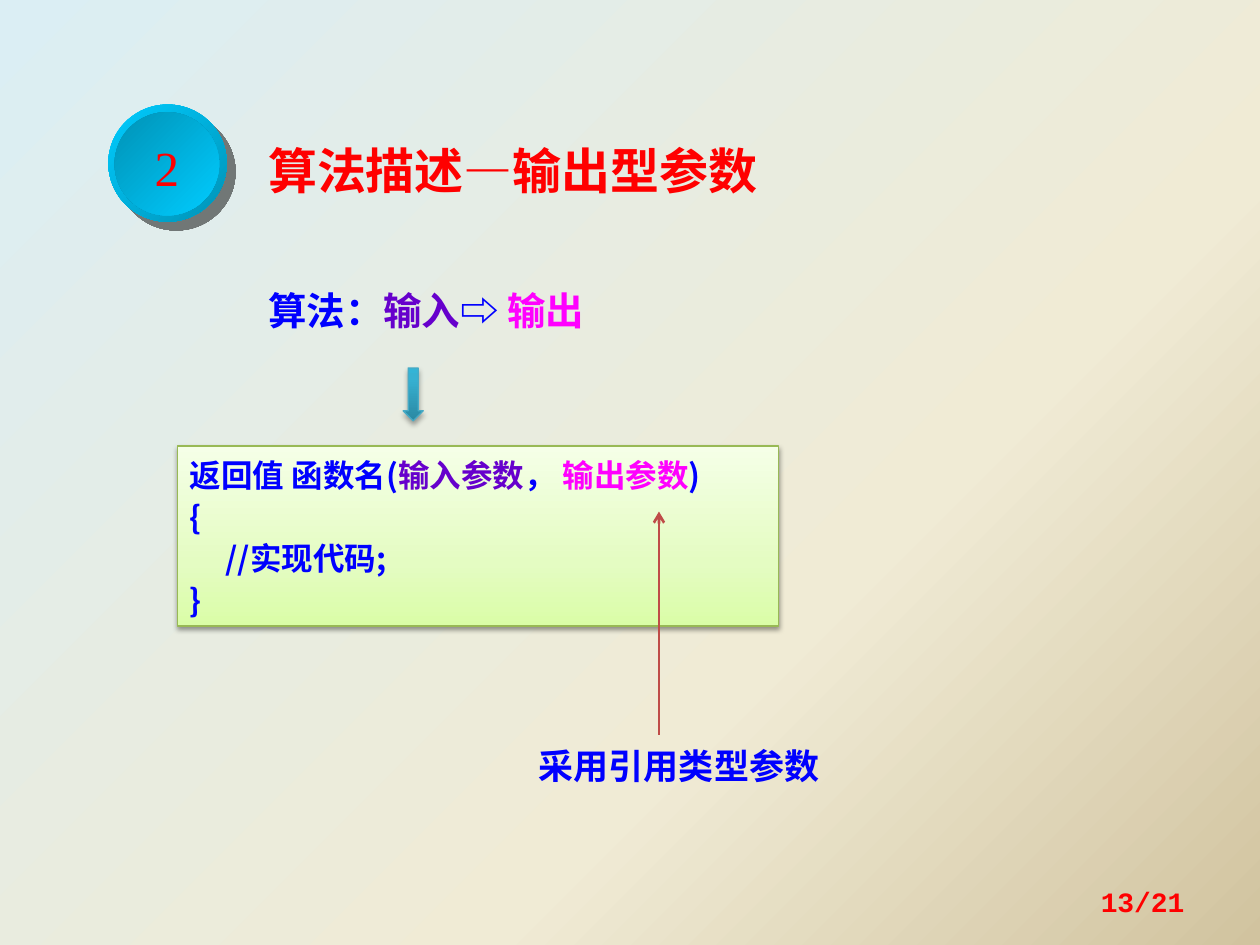
from dataclasses import dataclass

from lxml.etree import SubElement as Sub
from pptx import Presentation
from pptx.dml.color import RGBColor as RGB
from pptx.enum.shapes import MSO_CONNECTOR as CONN, MSO_SHAPE as SHAPE
from pptx.enum.text import MSO_ANCHOR as ANCHOR, MSO_AUTO_SIZE as AUTO, PP_ALIGN as AL
from pptx.oxml.ns import qn
from pptx.util import Inches, Pt


@dataclass(frozen=True)
class Theme:
    sans: str = "Noto Sans CJK SC"
    serif: str = "Times New Roman"
    mono: str = "Courier New"
    red: str = "FF0000"
    blue: str = "0000FF"
    purple: str = "6600CC"
    pink: str = "FF00FF"
    pointer: str = "BF4C48"
    arrow_line: str = "46AAC5"
    box_line: str = "98B955"
    title: int = 28
    body: int = 22
    note: int = 20
    code: int = 18
    page: int = 16
    spacing: float = 1.1
    backdrop: tuple = ((0, "DBEEF4"), (65, "F0EBD5"), (100, "D1C39F"))
    rim: tuple = ((0, "00CCFF"), (100, "0092B6"))
    disc: tuple = ((0, "0092B6"), (100, "00CCFF"))
    arrow: tuple = ((0, "2A88A2"), (80, "37B1D2"), (100, "34B4D6"))
    box: tuple = ((0, "DAFDA7"), (35, "E4FCC2"), (100, "F5FFE7"))


class Deck:
    def __init__(self, theme):
        self.t = theme
        self.prs = Presentation()
        self.prs.slide_width, self.prs.slide_height = Inches(10), Inches(7.5)
        self.s = self.prs.slides.add_slide(self.prs.slide_layouts[6])

    def color(self, parent, value, alpha=100):
        clr = Sub(parent, qn("a:srgbClr"), val=value)
        if alpha < 100:
            Sub(clr, qn("a:alpha"), val=str(alpha * 1000))

    def gradient(self, fill, owner, stops, angle):
        fill.gradient()
        grad = owner.element.xpath(".//a:gradFill")[0]
        for child in list(grad):
            grad.remove(child)
        gs_list = Sub(grad, qn("a:gsLst"))
        for pos, value in stops:
            self.color(Sub(gs_list, qn("a:gs"), pos=str(pos * 1000)), value)
        Sub(grad, qn("a:lin"), ang=str(angle * 60000), scaled="0")

    def background(self, stops, angle):
        self.gradient(self.s.background.fill, self.s, stops, angle)

    def shape(self, kind, at, stops, angle, line=None, shadow=None):
        sp = self.s.shapes.add_shape(kind, *map(Inches, at))
        sp.shadow.inherit = False
        self.gradient(sp.fill, sp, stops, angle)
        if line:
            sp.line.color.rgb = RGB.from_string(line)
            sp.line.width = Pt(0.75)
        else:
            sp.line.fill.background()
        if shadow:
            value, alpha, blur, dist, direction = shadow
            effects = sp.element.spPr.find(qn("a:effectLst"))
            outer = Sub(effects, qn("a:outerShdw"), blurRad=str(Pt(blur)), dist=str(Pt(dist)),
                        dir=str(direction * 60000), algn="ctr", rotWithShape="0")
            self.color(outer, value, alpha)
        return sp

    def put_text(self, sp, lines, size, font=None, bold=True, align=AL.LEFT,
                 anchor=ANCHOR.TOP, wrap=True, grow=True, spacing=None):
        tf = sp.text_frame
        tf.word_wrap = wrap
        tf.auto_size = AUTO.SHAPE_TO_FIT_TEXT if grow else AUTO.NONE
        tf.vertical_anchor = anchor
        for i, runs in enumerate(lines):
            p = tf.paragraphs[0] if i == 0 else tf.add_paragraph()
            p.alignment = align
            p.line_spacing = spacing or self.t.spacing
            for text, value in runs:
                r = p.add_run()
                r.text = text
                r.font.name = font or self.t.sans
                r.font.size, r.font.bold = Pt(size), bold
                r.font.color.rgb = RGB.from_string(value)
                Sub(r.font._element, qn("a:ea"), typeface=font or self.t.sans)

    def text(self, at, runs, size, **style):
        sp = self.s.shapes.add_textbox(*map(Inches, at))
        self.put_text(sp, [runs], size, **style)

    def pointer(self, start, end, value, width):
        cx = self.s.shapes.add_connector(CONN.STRAIGHT, *map(Inches, start + end))
        cx.line.color.rgb = RGB.from_string(value)
        cx.line.width = Pt(width)
        Sub(cx.element.spPr.find(qn("a:ln")), qn("a:tailEnd"), type="arrow")
        Sub(cx.element.spPr, qn("a:effectLst"))


def main():
    t = Theme()
    d = Deck(t)
    d.background(t.backdrop, 45)

    d.shape(SHAPE.OVAL, (0.86, 0.83, 0.94, 0.93), t.rim, 45, shadow=("020202", 50, 0, 7.1, 45))
    disc = d.shape(SHAPE.OVAL, (0.91, 0.89, 0.83, 0.82), t.disc, 45)
    d.put_text(disc, [[("2", t.red)]], t.title, font=t.serif, bold=False, align=AL.CENTER,
               anchor=ANCHOR.MIDDLE, wrap=False, grow=False)
    d.text((2.03, 1.02, 4.84, 0.62), [("算法描述―输出型参数", t.red)], t.title)
    d.text((2.03, 2.19, 3.52, 0.47),
           [("算法：", t.blue), ("输入", t.purple), ("⇨ ", t.blue), ("输出", t.pink)], t.body)

    d.shape(SHAPE.DOWN_ARROW, (3.2, 2.92, 0.16, 0.42), t.arrow, 270, t.arrow_line,
            ("000000", 35, 3.1, 1.8, 90))
    box = d.shape(SHAPE.RECTANGLE, (1.41, 3.54, 4.77, 1.43), t.box, 270, t.box_line,
                  ("000000", 38, 3.1, 1.6, 90))
    signature = [("返回值 函数名(", t.blue), ("输入参数", t.purple), ("， ", t.blue),
                 ("输出参数", t.pink), (")", t.blue)]
    body = [[(line, t.blue)] for line in ("{", "     //实现代码;", "}")]
    d.put_text(box, [signature] + body, t.code)

    d.text((4.06, 5.83, 2.66, 0.47), [("采用引用类型参数", t.blue)], t.note, align=AL.CENTER)
    d.pointer((5.23, 5.83), (5.23, 4.06), t.pointer, 1.5)
    d.text((7.17, 6.95, 2.33, 0.4), [("13/21", t.red)], t.page, font=t.mono, align=AL.RIGHT,
           anchor=ANCHOR.MIDDLE, grow=False, spacing=1.0)

    d.prs.save("out.pptx")


if __name__ == "__main__":
    main()
